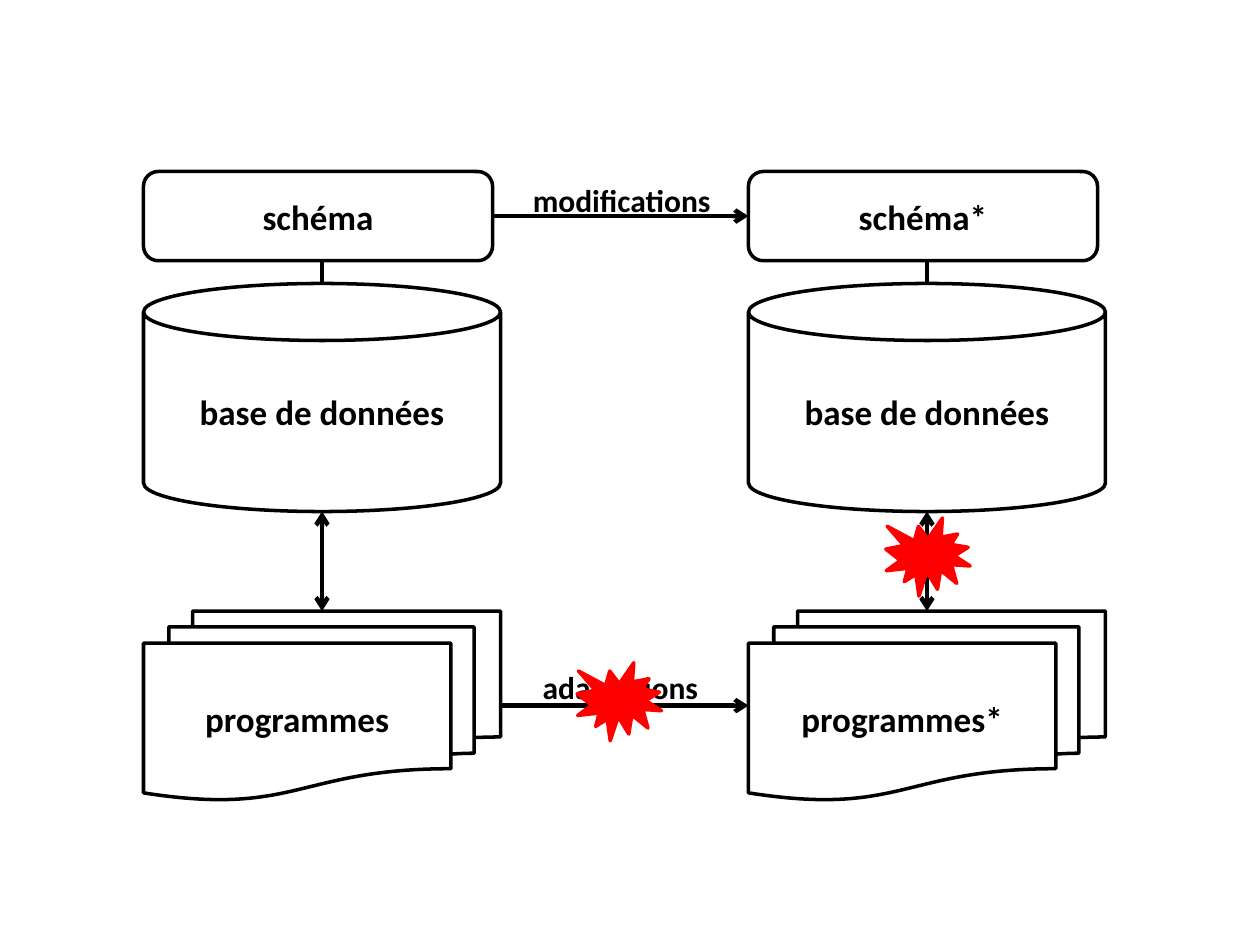
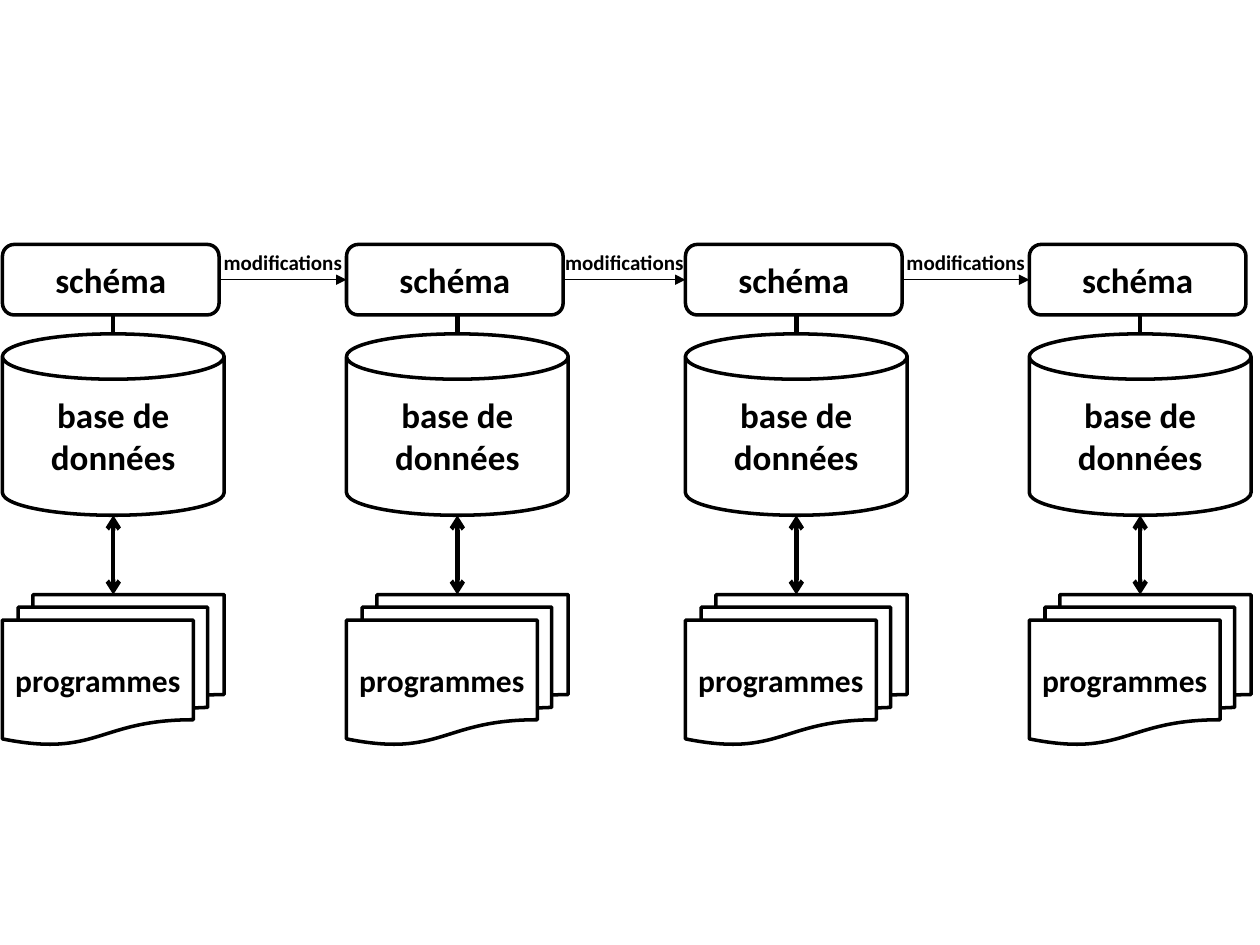
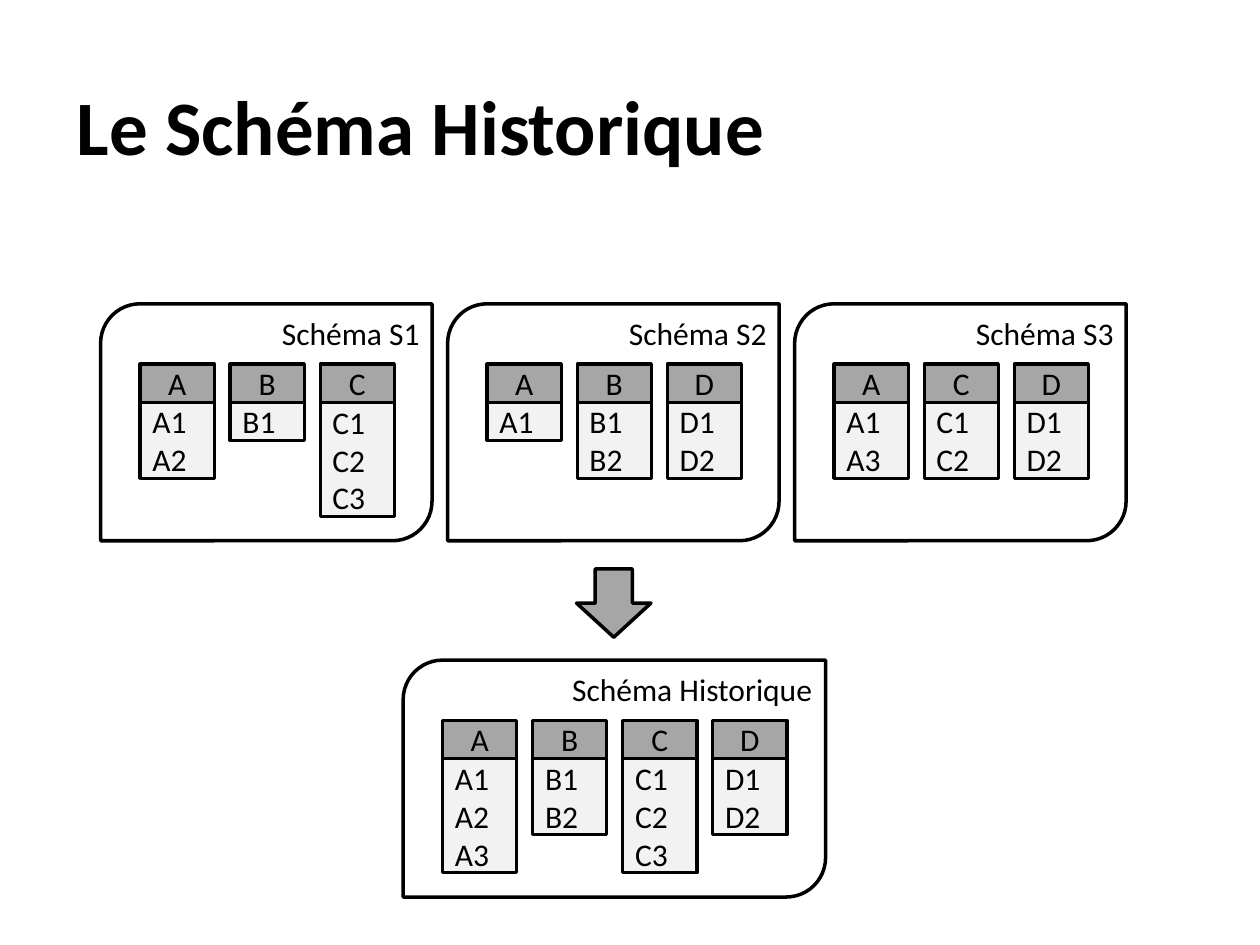
from pptx import Presentation
from pptx.dml.color import RGBColor
from pptx.enum.shapes import MSO_CONNECTOR, MSO_SHAPE
from pptx.enum.text import MSO_ANCHOR, MSO_AUTO_SIZE, PP_ALIGN
from pptx.oxml.ns import qn
from pptx.util import Pt
from lxml.etree import SubElement

BLACK, WHITE, RED = "000000", "FFFFFF", "FF0000"
GREY, PALE = "A6A6A6", "F2F2F2"
LEFT, MID = PP_ALIGN.LEFT, PP_ALIGN.CENTER
FRAME = {"word_wrap": True, "vertical_anchor": MSO_ANCHOR.MIDDLE}
LABEL = {"word_wrap": False, "vertical_anchor": MSO_ANCHOR.TOP,
         "auto_size": MSO_AUTO_SIZE.SHAPE_TO_FIT_TEXT}

LARGE = {"wide": 204, "slim": 199.5, "schema": (98, 51), "base": (162, 130.3),
         "code": (349.2, 108), "size": 20}
SMALL = {"wide": 126.7, "slim": 123.8, "schema": (139.7, 40.3),
         "base": (190.8, 103.7), "code": (339.8, 85.7), "size": 18}

VIEWS = [
    ("Schéma S1", {"A": "12", "B": "1", "C": "123"}),
    ("Schéma S2", {"A": "1", "B": "12", "D": "12"}),
    ("Schéma S3", {"A": "13", "C": "12", "D": "12"}),
]
MERGED = {"A": "123", "B": "12", "C": "123", "D": "12"}


def tint(code):
    return RGBColor.from_string(code)


def assign(item, values):
    for name, value in values.items():
        setattr(item, name, value)


def write(frame, lines, size, bold=True, align=MID, form=FRAME):
    assign(frame, form)
    for i, line in enumerate(lines):
        para = frame.paragraphs[0] if i == 0 else frame.add_paragraph()
        para.alignment = align
        run = para.add_run()
        run.text = line
        assign(run.font, {"name": "Calibri", "size": Pt(size), "bold": bold})
        run.font.color.rgb = tint(BLACK)


def draw(host, kind, x, y, w, h, fill=WHITE, edge=BLACK, width=2):
    shape = host.add_shape(kind, Pt(x), Pt(y), Pt(w), Pt(h))
    shape.shadow.inherit = False
    shape.fill.solid()
    shape.fill.fore_color.rgb = tint(fill)
    shape.line.color.rgb = tint(edge)
    shape.line.width = Pt(width)
    return shape


def label(host, text, x, y, w, h, size, bold=True, align=LEFT, form=LABEL):
    box = host.add_textbox(Pt(x), Pt(y), Pt(w), Pt(h))
    write(box.text_frame, [text], size, bold, align, form)


def link(host, start=(0, 0), stop=(0, 0), width=2.5, **ends):
    line = host.add_connector(MSO_CONNECTOR.STRAIGHT, *map(Pt, start + stop))
    line.line.color.rgb = tint(BLACK)
    line.line.width = Pt(width)
    SubElement(line._element.spPr, qn("a:effectLst"))
    for end, kind in ends.items():
        SubElement(line.line._get_or_add_ln(), qn("a:" + end), type=kind)
    return line


def join(host, first, second, width, kind):
    line = link(host, width=width, tailEnd=kind)
    line.begin_connect(first, 3)
    line.end_connect(second, 1)


def stack(host, x, plan, mark=""):
    base_y, base_h = plan["base"]
    top, high = plan["schema"]
    code_y, code_h = plan["code"]
    base = draw(host, MSO_SHAPE.CAN, x, base_y, plan["wide"], base_h)
    write(base.text_frame, ["base de données"], 20)
    schema = draw(host, MSO_SHAPE.ROUNDED_RECTANGLE, x, top, plan["slim"], high)
    write(schema.text_frame, ["schéma" + mark], 20)
    code = draw(host, MSO_SHAPE.FLOWCHART_MULTIDOCUMENT, x, code_y,
                plan["wide"], code_h)
    write(code.text_frame, ["programmes" + mark], plan["size"])
    axis = x + plan["wide"] / 2
    link(host, (axis, top + high), (axis, base_y))
    link(host, (axis, base_y + base_h), (axis, code_y),
         headEnd="arrow", tailEnd="arrow")
    return schema, code


def clash(host, x, y):
    draw(host, MSO_SHAPE.EXPLOSION1, x, y, 48.2, 44.6, RED, RED)


def entity(host, x, y, name, marks):
    wide, row = 42.5, 21.8
    head = draw(host, MSO_SHAPE.RECTANGLE, x, y, wide, row, GREY, width=1.75)
    write(head.text_frame, [name], 18, False)
    body = draw(host, MSO_SHAPE.RECTANGLE, x, y + row, wide, row * len(marks),
                PALE, width=1.75)
    write(body.text_frame, [name + mark for mark in marks], 18, False, LEFT)


def panel(host, x, y, w, title, span, items):
    draw(host, MSO_SHAPE.ROUND_2_DIAG_RECTANGLE, x, y, w, 135.4)
    label(host, title, x + w + 1.5 - span, y + 2.2, span, 29, 18, False)
    for i, (name, marks) in enumerate(items.items()):
        entity(host, x + 22.5 + 51.45 * i, y + 34.4, name, marks)


def change(host):
    old, code = stack(host, 82, LARGE)
    new, fresh = stack(host, 427.7, LARGE, "*")
    join(host, old, new, 2.5, "arrow")
    join(host, code, fresh, 2.5, "arrow")
    label(host, "modifications", 297.4, 100, 117.4, 51, 18)
    label(host, "adaptations", 303, 378, 113, 29, 18)
    clash(host, 329.8, 378.7)
    clash(host, 506.2, 296)


def series(host):
    spots = [1.4, 198, 391.7, 588.2]
    schemas = [stack(host.add_group_shape().shapes, x, SMALL)[0] for x in spots]
    for i, (old, new) in enumerate(zip(schemas, schemas[1:])):
        join(host, old, new, 0.75, "triangle")
        mid = (spots[i] + SMALL["slim"] + spots[i + 1]) / 2
        label(host, "modifications", mid - 41.8, 139, 83.6, 21.8, 12, align=MID)


def history(host):
    label(host, "Le Schéma Historique", 36.7, 26, 766, 90, 44, form=FRAME)
    group = host.add_group_shape().shapes
    for i, (title, items) in enumerate(VIEWS):
        panel(group, 57.5 + 198.3 * i, 173.6, 189.4, title, 94.4, items)
    panel(group, 230.4, 377.2, 241.4, "Schéma Historique", 153.4, MERGED)
    arrow = draw(group, MSO_SHAPE.RIGHT_ARROW, 331.2, 323.4, 39, 42.5, GREY)
    arrow.rotation = 90


def main():
    deck = Presentation()
    assign(deck, {"slide_width": Pt(720), "slide_height": Pt(540)})
    for build in (change, series, history):
        build(deck.slides.add_slide(deck.slide_layouts[6]).shapes)
    deck.save("out.pptx")


if __name__ == "__main__":
    main()
